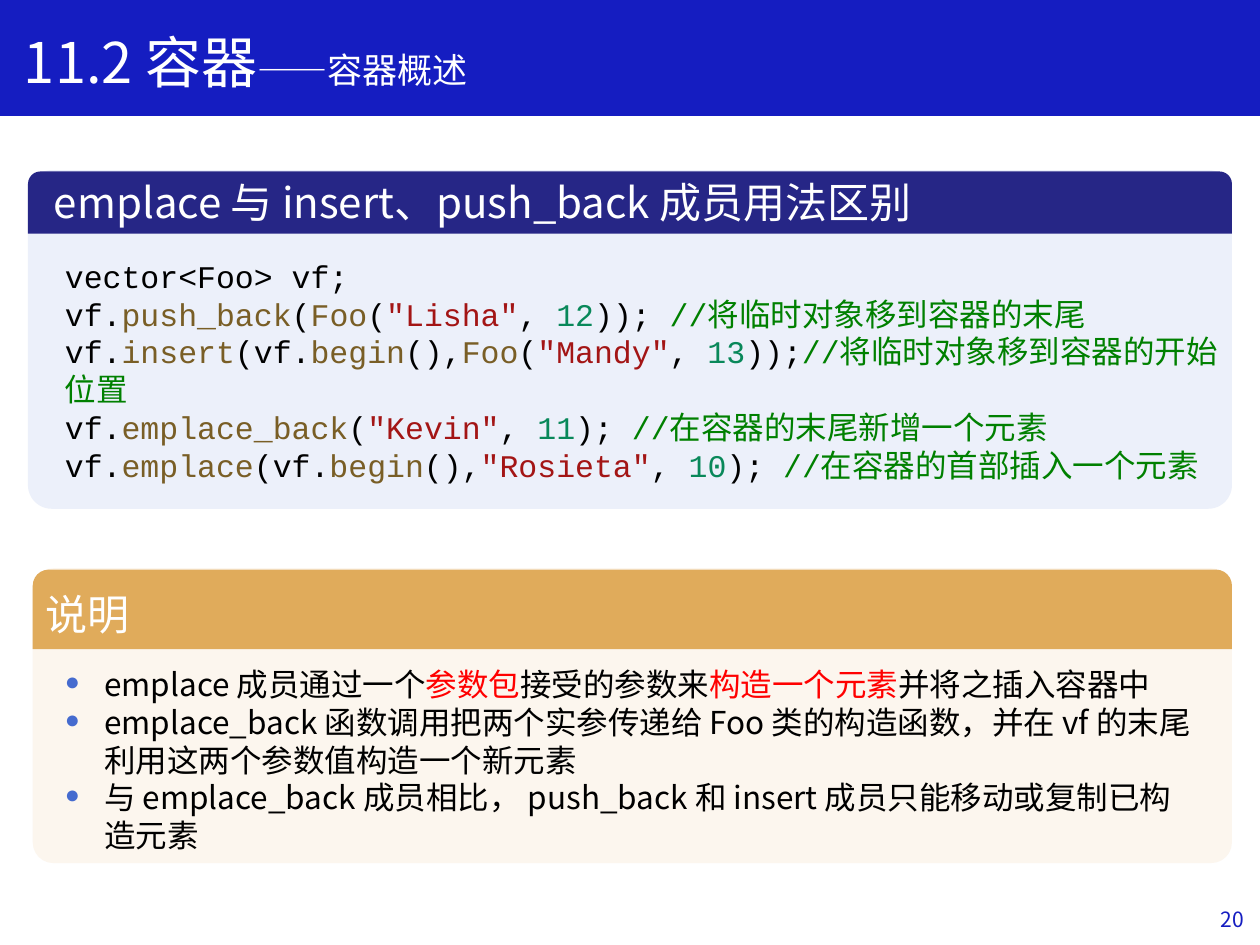
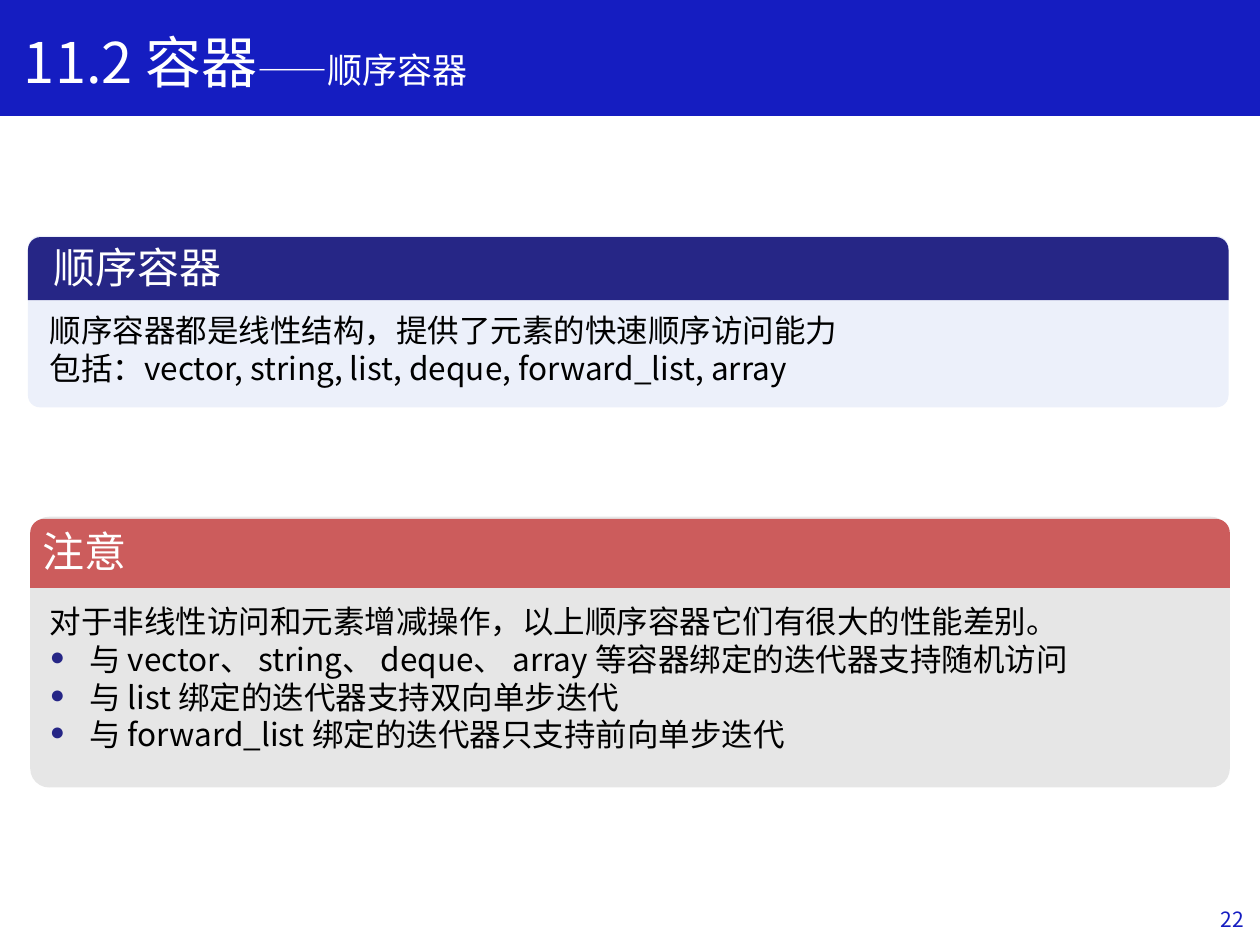
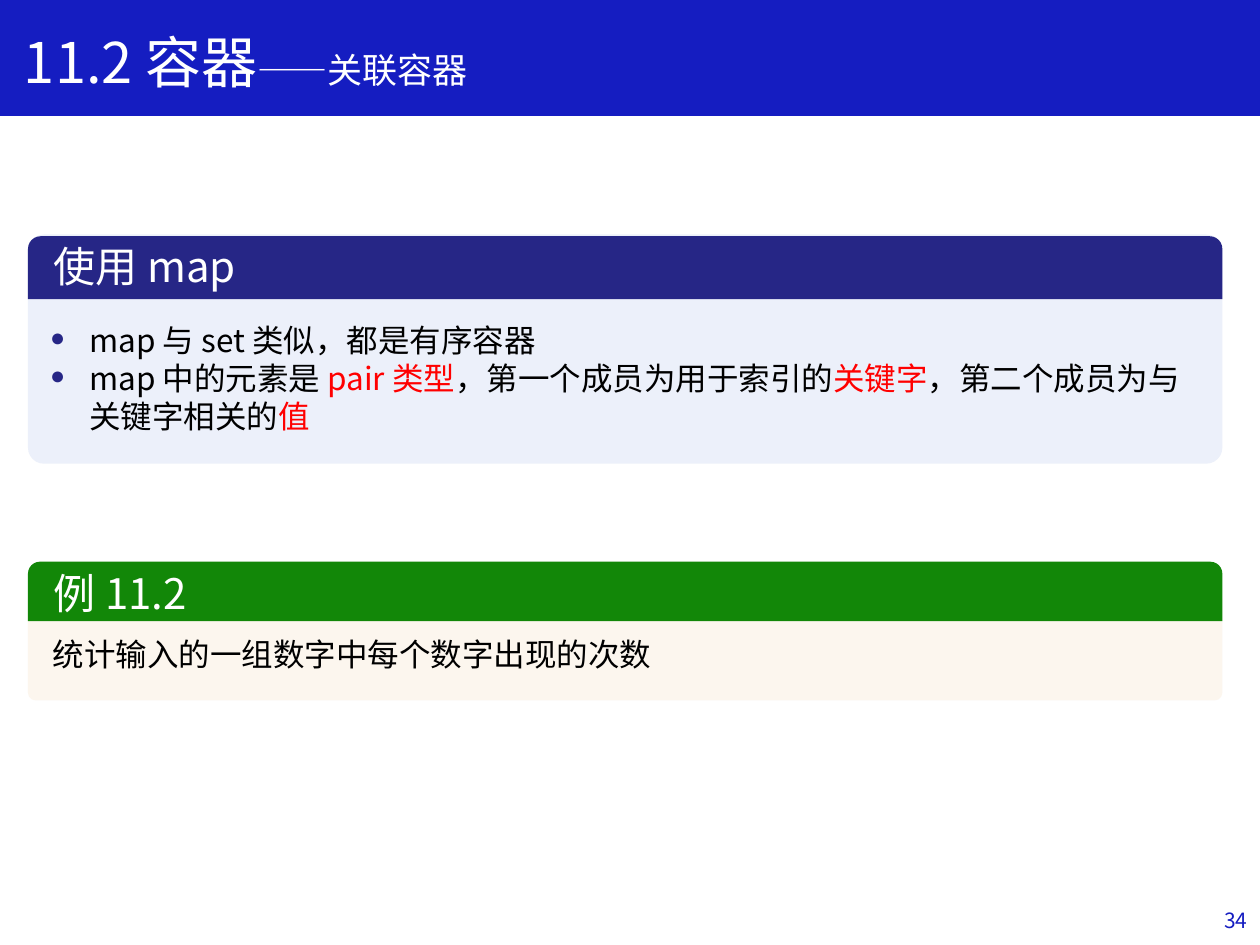
from lxml.etree import SubElement
from pptx import Presentation
from pptx.dml.color import RGBColor
from pptx.enum.shapes import MSO_SHAPE
from pptx.enum.text import MSO_ANCHOR, MSO_AUTO_SIZE, PP_ALIGN
from pptx.oxml.ns import qn
from pptx.util import Pt

SANS = "Noto Sans CJK SC"
MONO = "Courier New"

WHITE = RGBColor(0xFF, 0xFF, 0xFF)
BLACK = RGBColor(0x00, 0x00, 0x00)
RED = RGBColor(0xFF, 0x00, 0x00)
BAND_BLUE = RGBColor(0x15, 0x1D, 0xC1)
NAVY = RGBColor(0x26, 0x26, 0x86)
PALE_BLUE = RGBColor(0xEC, 0xF0, 0xFA)
BULLET_BLUE = RGBColor(0x45, 0x6B, 0xCF)
AMBER = RGBColor(0xE0, 0xAB, 0x5B)
CREAM = RGBColor(0xFC, 0xF6, 0xEE)
BRICK = RGBColor(0xCC, 0x5C, 0x5C)
GREY = RGBColor(0xE6, 0xE6, 0xE6)
GREEN = RGBColor(0x12, 0x87, 0x08)

CALL = RGBColor(0x79, 0x5E, 0x26)
STRING = RGBColor(0xA3, 0x15, 0x15)
NUMBER = RGBColor(0x09, 0x88, 0x5A)
COMMENT = RGBColor(0x00, 0x80, 0x00)


class Deck:
    def __init__(self):
        self.presentation = Presentation()
        self.presentation.slide_width = Pt(720)
        self.presentation.slide_height = Pt(540)
        self.slide = None

    def add_slide(self, topic, number, number_at=(556, 510.5)):
        layout = self.presentation.slide_layouts[5]
        self.slide = self.presentation.slides.add_slide(layout)
        shapes = self.slide.shapes
        band = self.block(shapes, MSO_SHAPE.RECTANGLE, (0, 0, 720, 66), BAND_BLUE)
        band.line.color.rgb = BAND_BLUE
        band.line.width = Pt(1)
        shapes._spTree.insert(2, band._element)  # behind the title

        title = shapes.title
        self.place(title, (6.5, 12.25, 536, 46))
        frame = title.text_frame
        frame.auto_size = MSO_AUTO_SIZE.NONE
        frame.vertical_anchor = MSO_ANCHOR.TOP
        line = frame.paragraphs[0]
        line.alignment = PP_ALIGN.LEFT
        self.add_runs(line, ["11.2 容器"], 32, WHITE)
        self.add_runs(line, ["——" + topic], 20, WHITE)

        footer = self.text([[str(number)]], (*number_at, 162, 29), 12, BAND_BLUE)
        footer.text_frame.vertical_anchor = MSO_ANCHOR.MIDDLE
        footer.text_frame.paragraphs[0].alignment = PP_ALIGN.RIGHT

    def place(self, shape, box):
        shape.left, shape.top, shape.width, shape.height = map(Pt, box)

    def block(self, shapes, kind, box, colour, corners=()):
        shape = shapes.add_shape(kind, *map(Pt, box))
        shape.shadow.inherit = False
        shape.fill.solid()
        shape.fill.fore_color.rgb = colour
        shape.line.fill.background()
        for index, corner in enumerate(corners):
            shape.adjustments[index] = corner
        return shape

    def panel(self, heading, body_box, header_top, header_height, colours,
              heading_at):
        """Rounded body with a coloured header strip and a heading."""
        header_colour, body_colour = colours
        left, _, width, _ = body_box
        shapes = self.slide.shapes.add_group_shape().shapes
        self.block(shapes, MSO_SHAPE.ROUNDED_RECTANGLE, body_box,
                   body_colour, [0.07])
        self.block(shapes, MSO_SHAPE.ROUND_2_SAME_RECTANGLE,
                   (left, header_top, width, header_height),
                   header_colour, [0.2, 0])
        self.text([[heading]], (*heading_at, 618, 36), 24, WHITE, shapes=shapes)

    def text(self, paragraphs, box, size=18, colour=BLACK, font=SANS,
             bullet=None, first_bullet=0, shapes=None):
        """Each paragraph is a list of strings or (string, colour) pairs."""
        shapes = self.slide.shapes if shapes is None else shapes
        textbox = shapes.add_textbox(*map(Pt, box))
        frame = textbox.text_frame
        frame.word_wrap = True
        for index, pieces in enumerate(paragraphs):
            line = frame.add_paragraph() if index else frame.paragraphs[0]
            if bullet is not None and index >= first_bullet:
                self.bullet(line, bullet)
            self.add_runs(line, pieces, size, colour, font)
        return textbox

    def bullet(self, paragraph, colour):
        properties = paragraph._p.get_or_add_pPr()
        properties.set("marL", str(Pt(22.5)))
        properties.set("indent", str(-Pt(22.5)))
        fill = SubElement(properties, qn("a:buClr"))
        SubElement(fill, qn("a:srgbClr"), val=str(colour))
        SubElement(properties, qn("a:buSzPct"), val="80000")
        SubElement(properties, qn("a:buFont"), typeface=MONO)
        SubElement(properties, qn("a:buChar"), char="●")

    def add_runs(self, paragraph, pieces, size, colour, font=SANS):
        for piece in pieces:
            words, tint = (piece, colour) if isinstance(piece, str) else piece
            run = paragraph.add_run()
            run.text = words
            run.font.size = Pt(size)
            run.font.name = font
            run.font.color.rgb = tint
            SubElement(run._r.get_or_add_rPr(), qn("a:ea"), typeface=SANS)


def container_overview(deck):
    deck.add_slide("容器概述", 20)
    deck.panel("emplace 与 insert、push_back 成员用法区别", (16, 97.25, 688, 193.5),
               98, 35.5, (NAVY, PALE_BLUE), (23.75, 97.25))
    foo = ("Foo", CALL)
    begin = ("begin", CALL)
    code = [
        ["vector<Foo> vf;"],
        ["vf.", ("push_back", CALL), "(", foo, "(", ('"Lisha"', STRING), ", ",
         ("12", NUMBER), ")); ", ("//将临时对象移到容器的末尾", COMMENT)],
        ["vf.", ("insert", CALL), "(vf.", begin, "(),", foo, "(",
         ('"Mandy"', STRING), ", ", ("13", NUMBER), "));",
         ("//将临时对象移到容器的开始位置", COMMENT)],
        ["vf.", ("emplace_back", CALL), "(", ('"Kevin"', STRING), ", ",
         ("11", NUMBER), "); ", ("//在容器的末尾新增一个元素", COMMENT)],
        ["vf.", ("emplace", CALL), "(vf.", begin, "(),", ('"Rosieta"', STRING),
         ", ", ("10", NUMBER), "); ", ("//在容器的首部插入一个元素", COMMENT)],
    ]
    deck.text(code, (30, 143.25, 674, 117), font=MONO)

    deck.panel("说明", (18.75, 324.75, 685.25, 168.5), 325.5, 45.5,
               (AMBER, CREAM), (18.75, 332.5))
    deck.text([
        ["emplace 成员通过一个", ("参数包", RED), "接受的参数来",
         ("构造一个元素", RED), "并将之插入容器中"],
        ["emplace_back 函数调用把两个实参传递给 Foo 类的构造函数，"
         "并在 vf 的末尾利用这两个参数值构造一个新元素"],
        ["与 emplace_back 成员相比， push_back 和 insert 成员只能移动或复制已构造元素"],
    ], (30, 376.5, 660, 117), bullet=BULLET_BLUE)


def sequence_containers(deck):
    deck.add_slide("顺序容器", 22)
    deck.panel("顺序容器", (16, 134.75, 686, 98), 135.5, 36,
               (NAVY, PALE_BLUE), (23.75, 134.75))
    deck.text([
        ["顺序容器都是线性结构，提供了元素的快速顺序访问能力"],
        ["包括：vector, string, list, deque, forward_list, array"],
    ], (21.5, 174.25, 534, 51))

    deck.panel("注意", (17.25, 295.25, 685.5, 154.75), 296.5, 39.5,
               (BRICK, GREY), (17.25, 296.5))
    deck.text([
        ["对于非线性访问和元素增减操作，以上顺序容器它们有很大的性能差别。"],
        ["与 vector、 string、 deque、 array 等容器绑定的迭代器支持随机访问"],
        ["与 list 绑定的迭代器支持双向单步迭代"],
        ["与 forward_list 绑定的迭代器只支持前向单步迭代"],
    ], (21.5, 340.5, 670, 94), bullet=NAVY, first_bullet=1)


def associative_containers(deck):
    deck.add_slide("关联容器", 34, number_at=(558, 511))
    deck.panel("使用 map", (16, 134, 682.5, 131), 135, 36,
               (NAVY, PALE_BLUE), (23.75, 134))
    deck.text([
        ["map 与 set 类似，都是有序容器"],
        ["map 中的元素是 ", ("pair 类型", RED), "，第一个成员为用于索引的",
         ("关键字", RED), "，第二个成员为与关键字相关的", ("值", RED)],
    ], (21.5, 180, 669, 73), bullet=NAVY)

    deck.panel("例 11.2", (16, 338.25, 682.5, 62), 321, 34,
               (GREEN, CREAM), (23.75, 320.5))
    deck.text([["统计输入的一组数字中每个数字出现的次数"]], (23, 359.25, 528, 29))


def main():
    deck = Deck()
    container_overview(deck)
    sequence_containers(deck)
    associative_containers(deck)
    deck.presentation.save("out.pptx")


if __name__ == "__main__":
    main()
